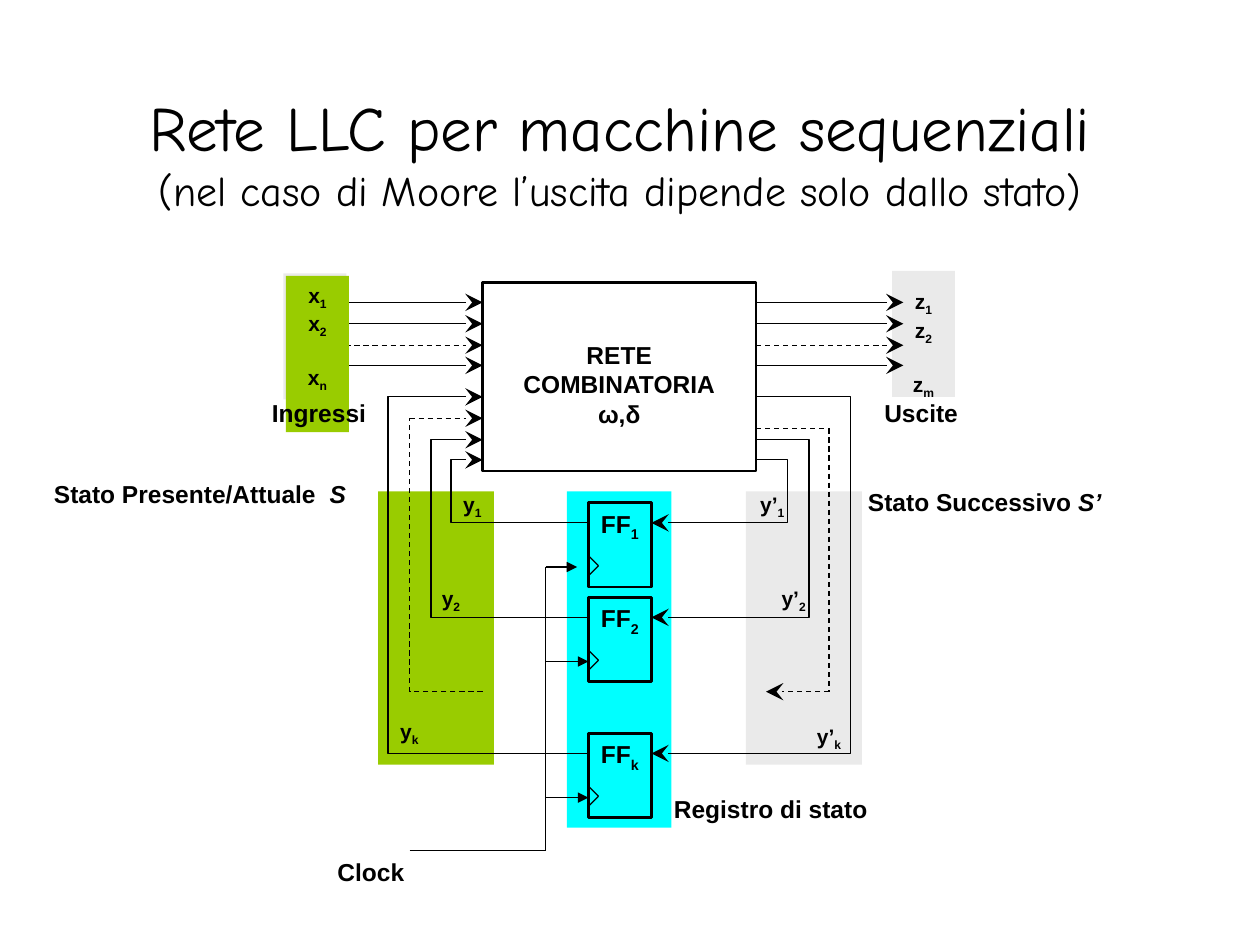
import itertools

import pptx
import pptx.dml.color
import pptx.enum.dml
import pptx.enum.shapes
import pptx.enum.text
import pptx.oxml.ns
import pptx.util
from lxml import etree
from pptx.util import Inches

BLACK = pptx.dml.color.RGBColor(0x00, 0x00, 0x00)
CYAN = pptx.dml.color.RGBColor(0x00, 0xFF, 0xFF)
GREY = pptx.dml.color.RGBColor(0xEA, 0xEA, 0xEA)
GREEN = pptx.dml.color.RGBColor(0x99, 0xCC, 0x00)
CENTER = pptx.enum.text.PP_ALIGN.CENTER
LEFT = pptx.enum.text.PP_ALIGN.LEFT


class Diagram:
    """Holds the style and the page being drawn."""

    title_font = "Comic Neue"
    label_font = "Arial"
    thin = 0.75
    thick = 1.5

    def __init__(self, page):
        self.page = page

    def span(self, para, text, size, font=label_font, bold=True, italic=None, sub=False):
        span = para.add_run()
        span.text = text
        span.font.name = font
        span.font.size = pptx.util.Pt(size)
        span.font.bold = bold
        span.font.italic = italic
        span.font.color.rgb = BLACK
        if sub:
            span.font._element.set("baseline", "-25000")

    def title(self, heading, subheading):
        box = self.page.shapes.title
        box.left, box.top = Inches(0.67), Inches(0.58)
        box.width, box.height = Inches(8.5), Inches(1.25)
        box.text_frame.vertical_anchor = pptx.enum.text.MSO_ANCHOR.MIDDLE
        para = box.text_frame.paragraphs[0]
        para.alignment = CENTER
        self.span(para, heading, 36, self.title_font, bold=False)
        para.add_line_break()
        self.span(para, subheading, 24, self.title_font, bold=False)

    def block(self, left, top, width, height, fill=None):
        """A filled area, or an outlined box when no fill is given."""
        block = self.page.shapes.add_shape(
            pptx.enum.shapes.MSO_SHAPE.RECTANGLE,
            Inches(left), Inches(top), Inches(width), Inches(height))
        block.shadow.inherit = False
        if fill is None:
            block.fill.background()
            self.stroke(block.line, self.thick)
        else:
            block.fill.solid()
            block.fill.fore_color.rgb = fill
            block.line.fill.background()

    def stroke(self, line, width=thin, dashed=False, arrow=None):
        line.color.rgb = BLACK
        line.width = pptx.util.Pt(width)
        if dashed:
            line.dash_style = pptx.enum.dml.MSO_LINE.DASH
        if arrow:
            tail = etree.SubElement(line._get_or_add_ln(), pptx.oxml.ns.qn("a:tailEnd"))
            tail.set("type", arrow)
            if arrow == "stealth":
                tail.set("w", "lg")
                tail.set("len", "lg")

    def route(self, *points, dashed=False, arrow=None):
        """Straight connectors through the points, the arrow on the last."""
        for start, end in itertools.pairwise(points):
            wire = self.page.shapes.add_connector(
                pptx.enum.shapes.MSO_CONNECTOR.STRAIGHT,
                *(Inches(value) for value in start + end))
            self.stroke(wire.line, dashed=dashed, arrow=arrow if end == points[-1] else None)
            etree.SubElement(wire._element.spPr, pptx.oxml.ns.qn("a:effectLst"))

    def loop(self, *points):
        """One bent outline that ends in an arrow."""
        corners = [(Inches(x), Inches(y)) for x, y in points]
        builder = self.page.shapes.build_freeform(*corners[0])
        builder.add_line_segments(corners[1:], close=False)
        wire = builder.convert_to_shape()
        wire.shadow.inherit = False
        wire.fill.background()
        self.stroke(wire.line, arrow="stealth")

    def text_box(self, left, top, width, height, margin=0.1, wrap=True):
        box = self.page.shapes.add_textbox(
            Inches(left), Inches(top), Inches(width), Inches(height))
        frame = box.text_frame
        frame.word_wrap = wrap
        frame.margin_left = frame.margin_right = Inches(margin)
        return box

    def label(self, left, top, width, text, italic=""):
        box = self.text_box(left, top, width, 0.34, wrap=False)
        box.text_frame.auto_size = pptx.enum.text.MSO_AUTO_SIZE.SHAPE_TO_FIT_TEXT
        para = box.text_frame.paragraphs[0]
        para.alignment = LEFT
        self.span(para, text, 14)
        if italic:
            self.span(para, italic, 14, italic=True)

    def lines(self, left, top, width, height, texts):
        frame = self.text_box(left, top, width, height).text_frame
        for index, text in enumerate(texts):
            para = frame.add_paragraph() if index else frame.paragraphs[0]
            para.alignment = CENTER
            self.span(para, text, 14)

    def symbols(self, left, top, height, name, indices, size=12, fill=None):
        """Names with a subscript; the last of several stands apart."""
        box = self.text_box(left, top, 0.5, height, margin=0)
        if fill is not None:
            box.fill.solid()
            box.fill.fore_color.rgb = fill
        for number, index in enumerate(indices):
            para = box.text_frame.add_paragraph() if number else box.text_frame.paragraphs[0]
            para.alignment = CENTER
            if number == 2:
                para.space_before = pptx.util.Pt(14.5)
            self.span(para, name, size)
            self.span(para, index, size, sub=True)


def main():
    deck = pptx.Presentation()
    deck.slide_width, deck.slide_height = Inches(10), Inches(7.5)
    page = deck.slides.add_slide(deck.slide_layouts[5])
    diagram = Diagram(page)
    diagram.title("Rete LLC per macchine sequenziali",
                  "(nel caso di Moore l’uscita dipende solo dallo stato)")

    # Coloured areas: register, next state, present state, outputs, inputs
    diagram.block(4.5, 3.9, 0.83, 2.67, CYAN)
    diagram.block(5.92, 3.9, 0.92, 2.17, GREY)
    diagram.block(3, 3.9, 0.92, 2.17, GREEN)
    diagram.block(7.08, 2.15, 0.5, 1, GREY)
    diagram.block(2.25, 2.17, 0.5, 1, GREY)

    # Combinational network with its input and output wires
    net_left, net_right = 3.83, 6
    diagram.block(net_left, 2.24, net_right - net_left, 1.5)
    for start, end in ((2.67, net_left), (net_right, 7.17)):
        for y in (2.4, 2.57, 2.74, 2.9):
            diagram.route((start, y), (end, y), dashed=y == 2.74, arrow="stealth")
    diagram.lines(net_left, 2.65, net_right - net_left, 0.8,
                  ("RETE", "COMBINATORIA", "ω,δ"))
    diagram.symbols(2.27, 2.19, 1.24, "x", "12n", fill=GREEN)
    diagram.symbols(7.08, 2.24, 1.24, "z", "12m")

    # Flip-flops: index, top, network port, outer x of each loop, state labels
    ff_left, ff_right, clock_x = 4.67, 5.17, 4.33
    flip_flops = (
        ("1", 3.99, 3.65, 3.58, 6.25, (3.5, 3.85), (5.88, 3.85)),
        ("2", 4.74, 3.49, 3.42, 6.42, (3.33, 4.6), (6.05, 4.6)),
        ("k", 5.82, 3.15, 3.08, 6.75, (3, 5.65), (6.33, 5.69)),
    )
    for index, top, port, left_x, right_x, present, following in flip_flops:
        signal, clock = top + 0.16, top + 0.5
        diagram.block(ff_left, top, ff_right - ff_left, 0.67)
        diagram.symbols(ff_left, top, 0.37, "FF", index, size=14)
        diagram.loop((net_right, port), (right_x, port), (right_x, signal), (ff_right, signal))
        diagram.loop((ff_left, signal), (left_x, signal), (left_x, port), (net_left, port))
        diagram.symbols(*present, 0.33, "y", index)
        diagram.symbols(*following, 0.33, "y’", index)
        diagram.route((ff_left, clock - 0.08), (4.75, clock), (ff_left, clock + 0.08))
        clock_end = 4.58 if index == "1" else ff_left
        diagram.route((clock_x, clock + 0.01), (clock_end, clock + 0.01), arrow="triangle")

    # Dashed loops for the states in between
    diagram.route((3.83, 5.49), (3.25, 5.49), (3.25, 3.32), (net_left, 3.32),
                  dashed=True, arrow="stealth")
    diagram.route((net_right, 3.4), (6.58, 3.4), (6.58, 5.49), (6.08, 5.49),
                  dashed=True, arrow="stealth")

    # Clock trunk
    diagram.route((3.25, 6.75), (clock_x, 6.75), (clock_x, 4.5))

    # Captions
    diagram.label(2.06, 3.11, 0.95, "Ingressi")
    diagram.label(6.92, 3.11, 0.8, "Uscite")
    diagram.label(0.33, 3.75, 2.77, "Stato Presente/Attuale", "  S")
    diagram.label(6.79, 3.82, 2.05, "Stato Successivo ", "S’")
    diagram.label(5.25, 6.25, 1.74, "Registro di stato")
    diagram.label(2.58, 6.75, 0.73, "Clock")

    deck.save("out.pptx")


if __name__ == "__main__":
    main()
